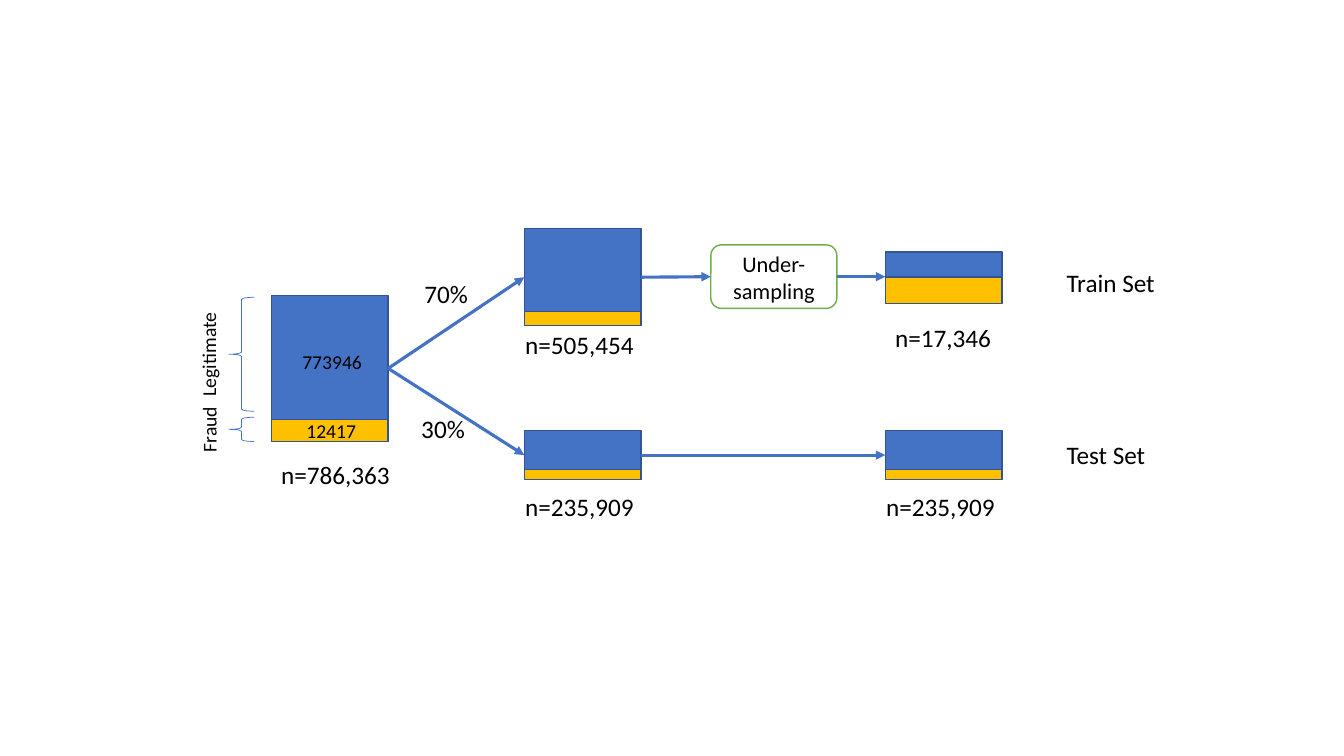
"""Build a slide on how fraud data is split into train and test sets."""
from dataclasses import dataclass

from lxml.etree import SubElement
from pptx import Presentation
from pptx.dml.color import RGBColor
from pptx.enum.shapes import MSO_CONNECTOR, MSO_SHAPE
from pptx.enum.text import MSO_ANCHOR, PP_ALIGN
from pptx.oxml.ns import qn
from pptx.util import Inches, Pt


@dataclass(frozen=True)
class Theme:
    """Colours, font and type sizes of the slide."""
    blue: str = "4472C4"
    gold: str = "FFC000"
    edge: str = "325491"
    green: str = "70AD47"
    white: str = "FFFFFF"
    black: str = "000000"
    font: str = "Calibri"
    small: int = 14
    mid: int = 16
    large: int = 18


THEME = Theme()
BAR = 1.16
LEFT, RIGHT = 1, 3


def write(shape, text, size=THEME.large, align=PP_ALIGN.LEFT, anchor=MSO_ANCHOR.TOP):
    """Put formatted text in a shape."""
    frame = shape.text_frame
    frame.word_wrap = True
    frame.vertical_anchor = anchor
    para = frame.paragraphs[0]
    para.alignment = align
    run = para.add_run()
    run.text = text
    run.font.name = THEME.font
    run.font.size = Pt(size)
    run.font.color.rgb = RGBColor.from_string(THEME.black)


def label(slide, text, x, y, w=1.35, h=0.4, turn=0, **style):
    """Add a text box, turned if asked."""
    box = slide.shapes.add_textbox(Inches(x), Inches(y), Inches(w), Inches(h))
    box.rotation = turn
    write(box, text, **style)


def block(slide, kind, x, y, w, h, fill=None, line=THEME.edge, width=1):
    """Add a flat preset shape."""
    shape = slide.shapes.add_shape(kind, Inches(x), Inches(y), Inches(w), Inches(h))
    shape.shadow.inherit = False
    if fill:
        shape.fill.solid()
        shape.fill.fore_color.rgb = RGBColor.from_string(fill)
    else:
        shape.fill.background()
    shape.line.color.rgb = RGBColor.from_string(line)
    shape.line.width = Pt(width)
    return shape


def stack(slide, x, y, h, top, fraud):
    """Add a blue bar with a gold fraud share and return the blue bar."""
    bar = block(slide, MSO_SHAPE.RECTANGLE, x, y, BAR, h, THEME.blue)
    block(slide, MSO_SHAPE.RECTANGLE, x, y + top, BAR, fraud, THEME.gold)
    return bar


def arrow(slide, start, end):
    """Join the right side of one shape to the left side of another."""
    line = slide.shapes.add_connector(MSO_CONNECTOR.STRAIGHT, 0, 0, 0, 0)
    line.begin_connect(start, RIGHT)
    line.end_connect(end, LEFT)
    line.line.color.rgb = RGBColor.from_string(THEME.blue)
    line.line.width = Pt(2.25)
    SubElement(line.line._get_or_add_ln(), qn("a:tailEnd"), type="triangle")
    SubElement(line._element.spPr, qn("a:effectLst"))


def source(slide, x, y):
    """Draw the full data set with its braces and return its bar."""
    bar = stack(slide, x, y, 1.45, 1.23, 0.22)
    small = {"h": 0.34, "size": THEME.small}
    label(slide, "773946", x + 0.21, y + 0.49, w=0.94, **small)
    label(slide, "12417", x + 0.25, y + 1.18, w=1, **small)
    label(slide, "Legitimate", x - 1.17, y + 0.38, w=1.1, turn=270, **small)
    label(slide, "Fraud", x - 1.01, y + 1.09, w=0.79, turn=270, **small)
    for top, height in ((0.02, 1.13), (1.21, 0.24)):
        block(slide, MSO_SHAPE.LEFT_BRACE, x - 0.42, y + top, 0.25, height,
              line=THEME.blue, width=0.5)
    label(slide, "n=786,363", x, y + 1.58)
    return bar


def train(slide, x, y, origin):
    """Draw the training branch with its under-sampling step."""
    first = stack(slide, x, y, 0.96, 0.82, 0.14)
    step = block(slide, MSO_SHAPE.ROUNDED_RECTANGLE, x + 1.85, y + 0.16, 1.25, 0.63,
                 THEME.white, THEME.green)
    write(step, "Under-sampling", size=THEME.mid, align=PP_ALIGN.CENTER,
          anchor=MSO_ANCHOR.MIDDLE)
    last = stack(slide, x + 3.58, y + 0.23, 0.49, 0.25, 0.26)
    for start, end in ((origin, first), (first, step), (step, last)):
        arrow(slide, start, end)
    label(slide, "70%", x - 1.09, y + 0.44, w=0.64)
    label(slide, "n=505,454", x - 0.09, y + 0.95)
    label(slide, "n=17,346", x + 3.58, y + 0.88)
    label(slide, "Train Set", x + 5.28, y + 0.33, w=1.16)


def test(slide, x, y, origin):
    """Draw the test branch, which stays unchanged."""
    first, last = [stack(slide, left, y, 0.49, 0.39, 0.1) for left in (x, x + 3.58)]
    arrow(slide, origin, first)
    arrow(slide, first, last)
    label(slide, "30%", x - 1.12, y - 0.22, w=0.64)
    for left in (x, x + 3.58):
        label(slide, "n=235,909", left - 0.09, y + 0.56)
    label(slide, "Test Set", x + 5.28, y + 0.04, w=1.16)


def main():
    """Build and save the slide."""
    deck = Presentation()
    deck.slide_width, deck.slide_height = Inches(13.33), Inches(7.5)
    slide = deck.slides.add_slide(deck.slide_layouts[6])
    origin = source(slide, 2.69, 2.93)
    train(slide, 5.2, 2.27, origin)
    test(slide, 5.2, 4.27, origin)
    deck.save("out.pptx")


if __name__ == "__main__":
    main()
